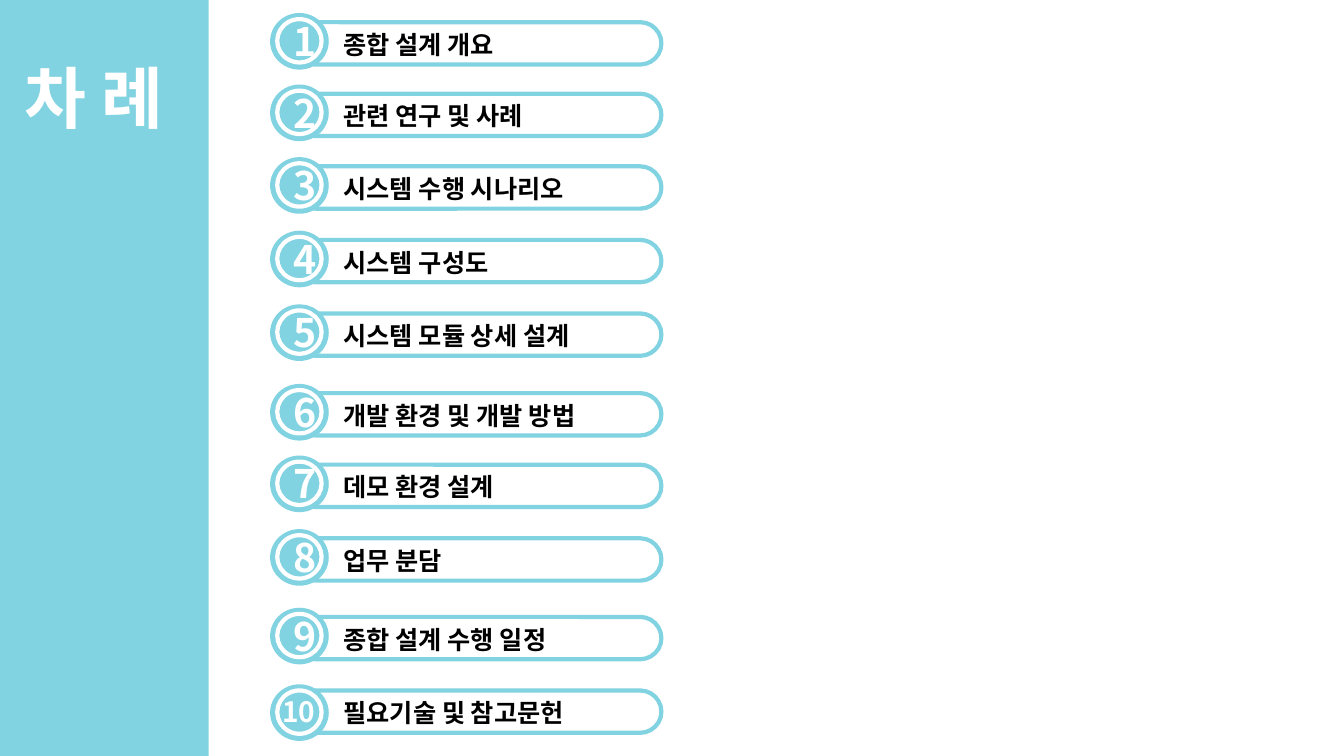
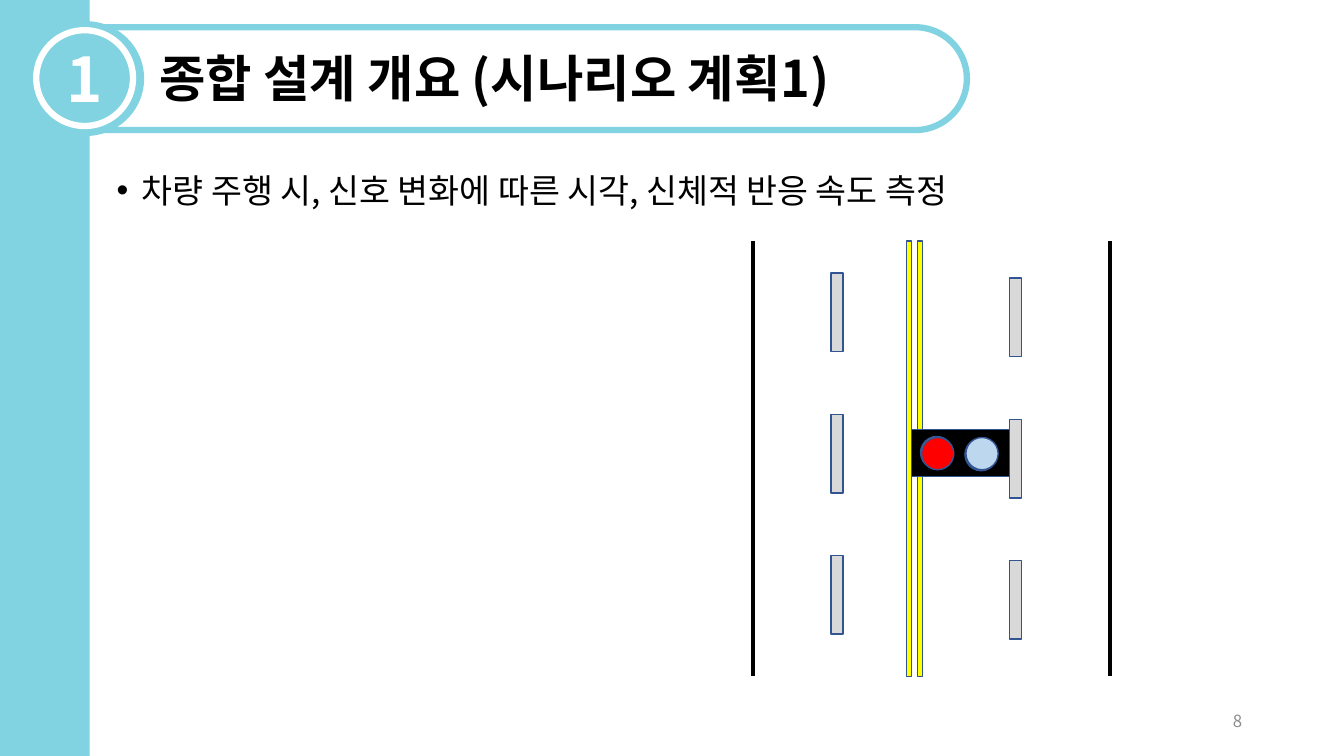
from dataclasses import dataclass
from typing import Optional

from lxml.etree import SubElement
from pptx import Presentation
from pptx.dml.color import RGBColor
from pptx.enum.shapes import MSO_CONNECTOR, MSO_SHAPE
from pptx.enum.text import MSO_ANCHOR, MSO_AUTO_SIZE, PP_ALIGN
from pptx.oxml.ns import qn
from pptx.shapes.autoshape import Shape
from pptx.slide import Slide
from pptx.util import Inches, Pt


@dataclass(frozen=True)
class Theme:
    font: str = "Noto Sans CJK KR"
    accent: str = "81D3E1"
    white: str = "FFFFFF"
    black: str = "000000"
    muted: str = "8C8C8C"
    outline: str = "325491"
    lane: str = "D9D9D9"
    center_line: str = "FFFF00"
    contents_size: int = 48
    badge_size: int = 44
    heading_size: int = 36
    number_size: int = 28
    body_size: int = 24
    small_number_size: int = 20
    item_size: int = 18
    footer_size: int = 12


@dataclass(frozen=True)
class Box:
    left: float
    top: float
    width: float
    height: float

    def lengths(self) -> tuple:
        return tuple(Inches(v) for v in (self.left, self.top, self.width, self.height))


@dataclass(frozen=True)
class TextStyle:
    size: int
    color: str
    bold: bool = True
    align: PP_ALIGN = PP_ALIGN.LEFT
    anchor: MSO_ANCHOR = MSO_ANCHOR.TOP


@dataclass(frozen=True)
class ContentsItem:
    label: str
    top: float
    badge_rise: float = 0.07


@dataclass(frozen=True)
class Light:
    color: str
    box: Box


THEME = Theme()

CONTENTS = (
    ContentsItem("종합 설계 개요", 0.22),
    ContentsItem("관련 연구 및 사례", 0.93),
    ContentsItem("시스템 수행 시나리오", 1.65),
    ContentsItem("시스템 구성도", 2.38),
    ContentsItem("시스템 모듈 상세 설계", 3.11),
    ContentsItem("개발 환경 및 개발 방법", 3.9),
    ContentsItem("데모 환경 설계", 4.61),
    ContentsItem("업무 분담", 5.34),
    ContentsItem("종합 설계 수행 일정", 6.12),
    ContentsItem("필요기술 및 참고문헌", 6.85, badge_rise=0.04),
)

LIGHTS = (
    Light("0070C0", Box(9.57, 4.35, 0.32, 0.32)),
    Light("BDD7EE", Box(9.58, 4.34, 0.32, 0.32)),
    Light("F4B183", Box(9.13, 4.33, 0.32, 0.32)),
    Light("FF0000", Box(9.14, 4.34, 0.32, 0.32)),
)


# Shared drawing functions
def write_text(shape: Shape, text: str, style: TextStyle, bullet: bool = False) -> None:
    frame = shape.text_frame
    frame.auto_size = MSO_AUTO_SIZE.NONE
    frame.word_wrap = True
    frame.vertical_anchor = style.anchor
    frame.text = text
    paragraph = frame.paragraphs[0]
    paragraph.alignment = style.align
    properties = paragraph._p.get_or_add_pPr()
    if bullet:
        paragraph.line_spacing = 0.9
        properties.set("marL", str(Inches(0.25)))
        properties.set("indent", str(-Inches(0.25)))
        SubElement(properties, qn("a:buFont"), typeface="Arial")
        SubElement(properties, qn("a:buChar"), char="•")
    font = paragraph.font
    font.name = THEME.font
    font.size = Pt(style.size)
    font.bold = style.bold
    font.color.rgb = RGBColor.from_string(style.color)
    # Korean letters take the East Asian typeface
    SubElement(properties.find(qn("a:defRPr")), qn("a:ea"), typeface=THEME.font)


def add_text(slide: Slide, box: Box, text: str, style: TextStyle, bullet: bool = False) -> None:
    write_text(slide.shapes.add_textbox(*box.lengths()), text, style, bullet)


def add_figure(slide: Slide, kind: MSO_SHAPE, box: Box, fill: Optional[str] = None,
               line: Optional[str] = None, line_width: float = 1) -> Shape:
    shape = slide.shapes.add_shape(kind, *box.lengths())
    shape.shadow.inherit = False
    if fill:
        shape.fill.solid()
        shape.fill.fore_color.rgb = RGBColor.from_string(fill)
    else:
        shape.fill.background()
    if line:
        shape.line.color.rgb = RGBColor.from_string(line)
        shape.line.width = Pt(line_width)
    else:
        shape.line.fill.background()
    return shape


def add_pill(slide: Slide, box: Box, line_width: float) -> None:
    pill = add_figure(slide, MSO_SHAPE.ROUNDED_RECTANGLE, box,
                      line=THEME.accent, line_width=line_width)
    pill.adjustments[0] = 0.5


def add_badge(slide: Slide, outer: Box, inner: Box, line_width: float,
              outer_line: Optional[str] = None) -> Shape:
    add_figure(slide, MSO_SHAPE.OVAL, outer, THEME.accent, outer_line, line_width)
    return add_figure(slide, MSO_SHAPE.OVAL, inner, THEME.accent, THEME.white, line_width)


def number_style(size: int) -> TextStyle:
    return TextStyle(size, THEME.white, align=PP_ALIGN.CENTER, anchor=MSO_ANCHOR.MIDDLE)


def add_band(slide: Slide, width: float) -> None:
    add_figure(slide, MSO_SHAPE.RECTANGLE, Box(0, 0, width, 7.5), THEME.accent)


def place_title(slide: Slide, box: Box, text: str, style: TextStyle) -> Shape:
    title = slide.shapes.title
    title.left, title.top, title.width, title.height = box.lengths()
    write_text(title, text, style)
    # Bring the title in front of the band
    title.element.getparent().append(title.element)
    return title


def add_road_edge(slide: Slide, x: float, top: float, bottom: float) -> None:
    edge = slide.shapes.add_connector(
        MSO_CONNECTOR.STRAIGHT, Inches(x), Inches(top), Inches(x), Inches(bottom))
    edge.line.color.rgb = RGBColor.from_string(THEME.black)
    edge.line.width = Pt(3)
    SubElement(edge.element.spPr, qn("a:effectLst"))


# Contents slide
def add_contents_item(slide: Slide, number: int, item: ContentsItem) -> None:
    add_pill(slide, Box(2.92, item.top, 3.64, 0.42), 3)
    badge_top = item.top - item.badge_rise
    inner = add_badge(slide, Box(2.7, badge_top, 0.54, 0.52),
                      Box(2.75, badge_top + 0.04, 0.44, 0.43), 3, THEME.accent)
    if number < 10:
        write_text(inner, str(number), number_style(THEME.number_size))
    else:
        add_text(slide, Box(2.7, badge_top + 0.03, 1.08, 0.44), str(number),
                 TextStyle(THEME.small_number_size, THEME.white))
    add_text(slide, Box(3.31, item.top + 0.02, 3.04, 0.4), item.label,
             TextStyle(THEME.item_size, THEME.black))


def build_contents(slide: Slide) -> None:
    add_band(slide, 2.07)
    title = place_title(slide, Box(0.24, 0.56, 1.58, 0.81), "차 례",
                        TextStyle(THEME.contents_size, THEME.white))
    frame = title.text_frame
    frame.word_wrap = False
    frame.margin_left = frame.margin_top = frame.margin_right = frame.margin_bottom = 0
    for number, item in enumerate(CONTENTS, start=1):
        add_contents_item(slide, number, item)


# Scenario slide
def add_road(slide: Slide) -> None:
    top, bottom = 2.39, 6.71
    for x in (7.47, 11.01):
        add_road_edge(slide, x, top, bottom)
    for left, first_top in ((10.01, 2.76), (8.24, 2.71)):
        for row in range(3):
            add_figure(slide, MSO_SHAPE.RECTANGLE, Box(left, first_top + row * 1.4, 0.12, 0.78),
                       THEME.lane, THEME.outline)
    for left in (8.99, 9.1):
        add_figure(slide, MSO_SHAPE.RECTANGLE, Box(left, top, 0.05, bottom - top),
                   THEME.center_line, THEME.outline)


def add_traffic_light(slide: Slide) -> None:
    add_figure(slide, MSO_SHAPE.RECTANGLE, Box(9.04, 4.26, 0.97, 0.47),
               THEME.black, THEME.outline)
    for light in LIGHTS:
        add_figure(slide, MSO_SHAPE.OVAL, light.box, light.color, THEME.outline)


def build_scenario(slide: Slide) -> None:
    add_band(slide, 0.89)
    add_pill(slide, Box(0.32, 0.27, 9.27, 1.02), 4.5)
    inner = add_badge(slide, Box(0.27, 0.21, 1.16, 1.14), Box(0.36, 0.3, 0.96, 0.95), 4.5)
    write_text(inner, "1", number_style(THEME.badge_size))
    place_title(slide, Box(1.48, 0.42, 7.67, 0.71), "종합 설계 개요 (시나리오 계획1)",
                TextStyle(THEME.heading_size, THEME.black))
    add_text(slide, Box(9.42, 6.95, 3, 0.4), "8",
             TextStyle(THEME.footer_size, THEME.muted, False, PP_ALIGN.RIGHT, MSO_ANCHOR.MIDDLE))
    add_text(slide, Box(1.06, 1.68, 11.5, 0.65),
             "차량 주행 시, 신호 변화에 따른 시각, 신체적 반응 속도 측정",
             TextStyle(THEME.body_size, THEME.black, False), bullet=True)
    add_road(slide)
    add_traffic_light(slide)


def main() -> None:
    presentation = Presentation()
    presentation.slide_width = Inches(13.33)
    presentation.slide_height = Inches(7.5)
    title_only = presentation.slide_layouts[5]
    for build in (build_contents, build_scenario):
        build(presentation.slides.add_slide(title_only))
    presentation.save("out.pptx")


if __name__ == "__main__":
    main()
